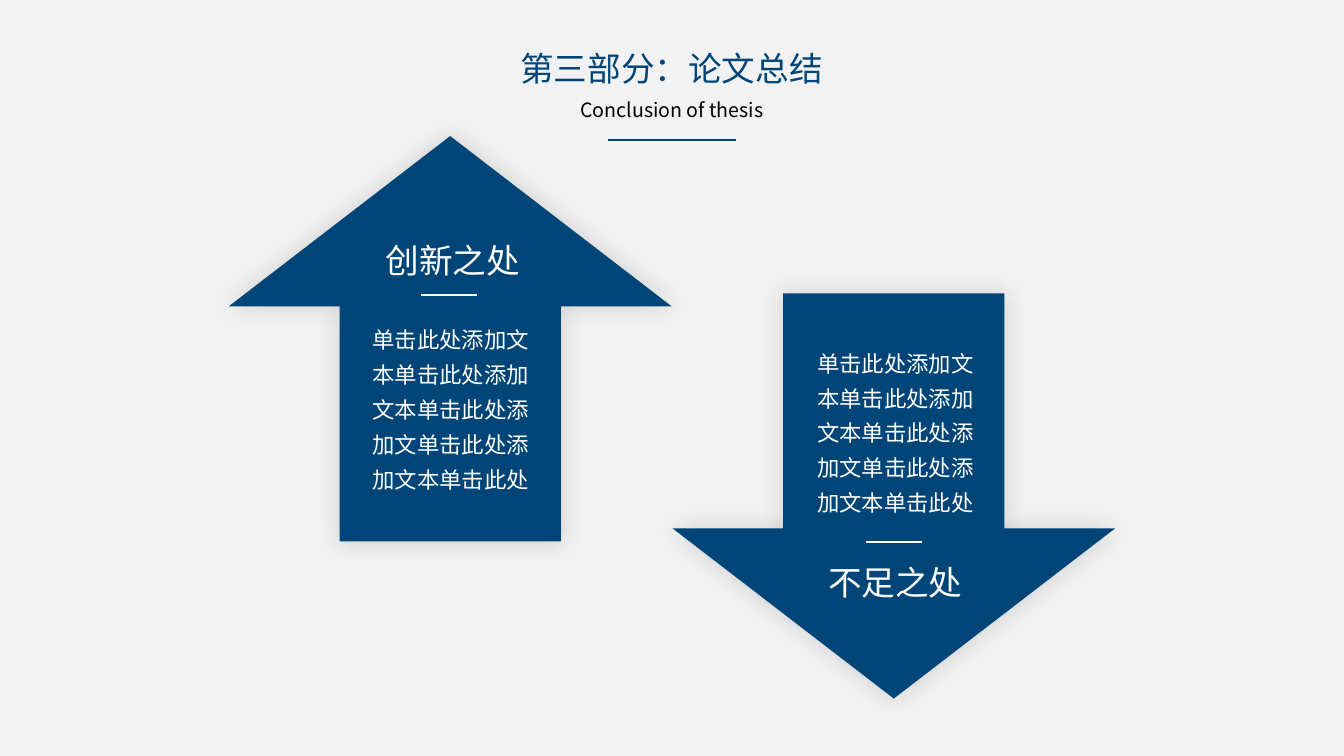
from lxml.etree import SubElement as Sub
from pptx import Presentation
from pptx.dml.color import RGBColor as Rgb
from pptx.enum.shapes import MSO_CONNECTOR as Link, MSO_SHAPE as Kind
from pptx.enum.text import PP_ALIGN as Align
from pptx.oxml.ns import qn
from pptx.util import Inches, Pt

FONT = "Noto Sans CJK SC"
COLORS = {"back": "F2F2F2", "navy": "004578", "white": "FFFFFF", "black": "000000"}
BODY = "单击此处添加文本单击此处添加文本单击此处添加文单击此处添加文本单击此处"


def color(name):
    """Return a named colour."""
    return Rgb.from_string(COLORS[name])


def add_text(slide, text, box, size, ink, space=None):
    """Add one centred paragraph."""
    frame = slide.shapes.add_textbox(*map(Inches, box)).text_frame
    frame.word_wrap = True
    para = frame.paragraphs[0]
    para.text = text
    para.alignment = Align.CENTER
    para.line_spacing = space
    font = para.font
    font.size = Pt(size)
    font.color.rgb = color(ink)
    font.name = FONT
    Sub(para._p.pPr.find(qn("a:defRPr")), qn("a:ea"), typeface=FONT)


def add_rule(slide, left, top, width, ink):
    """Add a thin horizontal rule."""
    ends = map(Inches, (left, top, left + width, top))
    rule = slide.shapes.add_connector(Link.STRAIGHT, *ends)
    rule.line.color.rgb = color(ink)
    rule.line.width = Pt(1.5)
    Sub(rule._element.spPr, qn("a:effectLst"))


def add_arrow(slide, kind, left, top):
    """Add a wide block arrow with a soft shadow."""
    box = map(Inches, (left, top, 4.39, 4.02))
    arrow = slide.shapes.add_shape(kind, *box)
    arrow.adjustments[0] = 0.5
    arrow.adjustments[1] = 0.42
    arrow.fill.solid()
    arrow.fill.fore_color.rgb = color("navy")
    arrow.line.fill.background()
    arrow.shadow.inherit = False
    effects = arrow._element.spPr.find(qn("a:effectLst"))
    glow = Sub(effects, qn("a:outerShdw"), blurRad=str(Pt(17)), dist="0",
               dir="2700000", algn="ctr", rotWithShape="0")
    tint = Sub(glow, qn("a:srgbClr"), val=COLORS["black"])
    Sub(tint, qn("a:alpha"), val="14000")


def add_panel(slide, kind, arrow, title, head, body, rule):
    """Add an arrow with its heading, rule and text."""
    add_arrow(slide, kind, *arrow)
    add_text(slide, title, (*head, 1.94, 0.5), 24, "white")
    add_text(slide, BODY, (*body, 1.94, 1.82), 16, "white", 1.3)
    add_rule(slide, *rule, 0.55, "white")


def main():
    """Build and save the slide."""
    deck = Presentation()
    deck.slide_width, deck.slide_height = Inches(13.33), Inches(7.5)
    slide = deck.slides.add_slide(deck.slide_layouts[6])
    slide.background.fill.solid()
    slide.background.fill.fore_color.rgb = color("back")
    add_text(slide, "第三部分：论文总结", (3.95, 0.43, 5.42, 0.5), 24, "navy")
    add_text(slide, "Conclusion of thesis", (3.2, 0.92, 6.93, 0.34), 14, "black")
    add_rule(slide, 6.03, 1.39, 1.27, "navy")
    add_panel(slide, Kind.UP_ARROW, (2.27, 1.35), "创新之处",
              (3.52, 2.33), (3.5, 3.11), (4.18, 2.93))
    add_panel(slide, Kind.DOWN_ARROW, (6.67, 2.91), "不足之处",
              (7.91, 5.53), (7.91, 3.34), (8.59, 5.38))
    deck.save("out.pptx")


if __name__ == "__main__":
    main()
